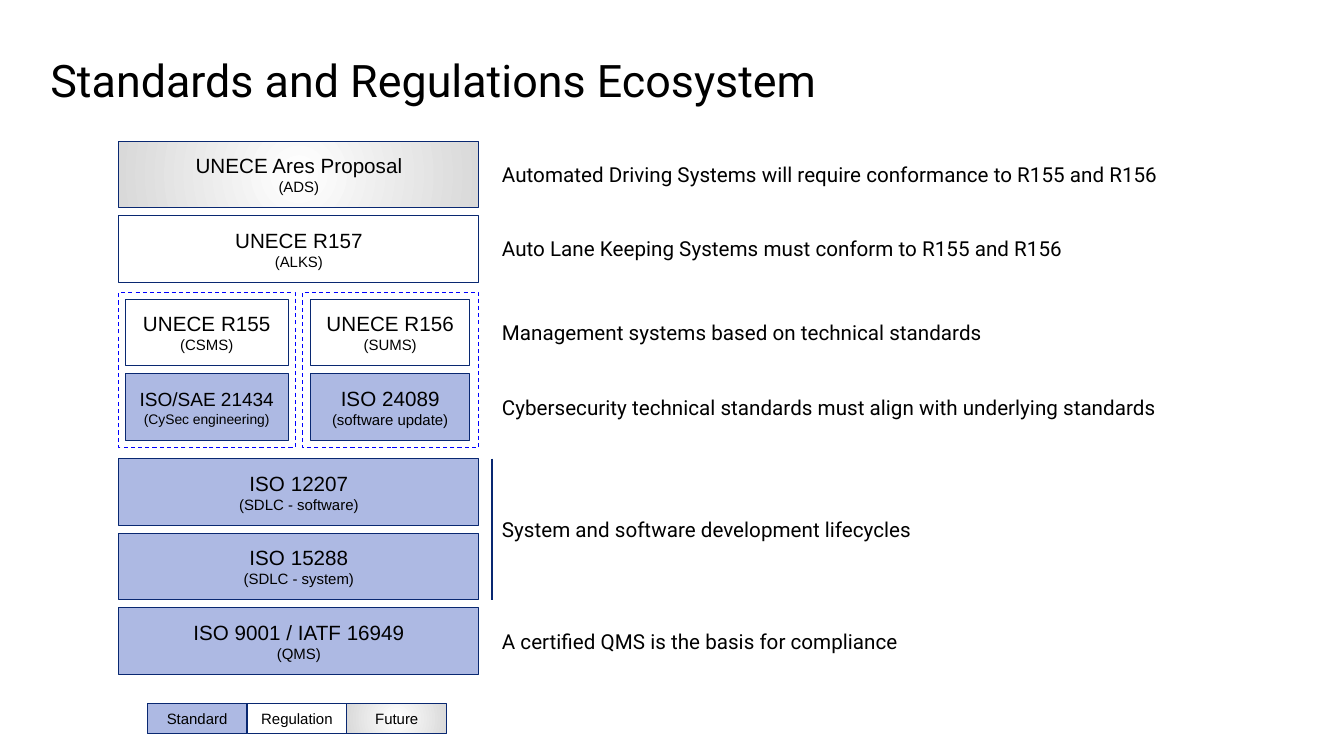
from lxml import etree
from pptx import Presentation
from pptx.dml.color import RGBColor
from pptx.enum.dml import MSO_LINE
from pptx.enum.shapes import MSO_CONNECTOR, MSO_SHAPE
from pptx.enum.text import MSO_ANCHOR, MSO_AUTO_SIZE, PP_ALIGN
from pptx.oxml.ns import qn
from pptx.util import Inches, Pt

# Content
TITLE = "Standards and Regulations Ecosystem"
FILLS = {"Standard": "ADB9E3", "Regulation": "FFFFFF", "Future": ("FFFFFF", "D9D9D9")}
NAVY, BLUE, BLACK = "092871", "0000FF", "000000"
NAME_SIZE, DETAIL_SIZE = 14.7, 10.7

# Each row: column, kind, name, detail, text scale
BANDS = [
    (1.40, [
        [("full", "Future", "UNECE Ares Proposal", "(ADS)", 1)],
        [("full", "Regulation", "UNECE R157", "(ALKS)", 1)],
    ]),
    (2.97, [
        [("left", "Regulation", "UNECE R155", "(CSMS)", 1),
         ("right", "Regulation", "UNECE R156", "(SUMS)", 1)],
        [("left", "Standard", "ISO/SAE 21434", "(CySec engineering)", 0.925),
         ("right", "Standard", "ISO 24089", "(software update)", 1)],
    ]),
    (4.55, [
        [("full", "Standard", "ISO 12207", "(SDLC - software)", 1)],
        [("full", "Standard", "ISO 15288", "(SDLC - system)", 1)],
        [("full", "Standard", "ISO 9001 / IATF 16949", "(QMS)", 1)],
    ]),
]
# Each note: text, first row and last row it describes
NOTES = [
    ("Automated Driving Systems will require conformance to R155 and R156", 0, 0),
    ("Auto Lane Keeping Systems must conform to R155 and R156", 1, 1),
    ("Management systems based on technical standards", 2, 2),
    ("Cybersecurity technical standards must align with underlying standards", 3, 3),
    ("System and software development lifecycles", 4, 5),
    ("A certified QMS is the basis for compliance", 6, 6),
]

# Layout, in inches
COLUMNS = {"full": (1.18, 3.57), "left": (1.24, 1.62), "right": (3.08, 1.58)}
ROW_HEIGHT, ROW_PITCH = 0.66, 0.74
FRAME_LEFTS, FRAME_TOP, FRAME_WIDTH, FRAME_HEIGHT = (1.18, 3.00), 2.90, 1.75, 1.54
NOTE_LEFT, NOTE_WIDTH, NOTE_HEIGHT = 4.88, 6.86, 0.45
LEGEND_LEFT, LEGEND_TOP, LEGEND_WIDTH, LEGEND_HEIGHT = 1.46, 6.98, 0.99, 0.30


def color(value):
    return RGBColor.from_string(value)


def set_margins(frame, margin):
    frame.margin_left = frame.margin_right = Inches(margin)
    frame.margin_top = frame.margin_bottom = Inches(margin)


def add_run(paragraph, text, size, font):
    run = paragraph.add_run()
    run.text = text
    run.font.size = Pt(size)
    run.font.name = font
    run.font.color.rgb = color(BLACK)


def fill_shape(shape, fill):
    if isinstance(fill, str):
        shape.fill.solid()
        shape.fill.fore_color.rgb = color(fill)
        return
    shape.fill.gradient()
    for stop, value in zip(shape.fill.gradient_stops, fill):
        stop.color.rgb = color(value)
    # Turn the linear gradient into a circular one
    gradient = shape._element.spPr.find(qn("a:gradFill"))
    gradient.remove(gradient.find(qn("a:lin")))
    circle = etree.SubElement(gradient, qn("a:path"), path="circle")
    etree.SubElement(circle, qn("a:fillToRect"), l="50000", t="50000", r="50000", b="50000")


def add_box(shapes, left, top, width, height, fill, lines):
    box = shapes.add_shape(MSO_SHAPE.RECTANGLE, Inches(left), Inches(top),
                           Inches(width), Inches(height))
    box.shadow.inherit = False
    fill_shape(box, fill)
    box.line.color.rgb = color(NAVY)
    box.line.width = Pt(0.75)
    frame = box.text_frame
    frame.word_wrap = True
    frame.vertical_anchor = MSO_ANCHOR.MIDDLE
    set_margins(frame, 0.1)
    for index, (text, size) in enumerate(lines):
        paragraph = frame.add_paragraph() if index else frame.paragraphs[0]
        paragraph.alignment = PP_ALIGN.CENTER
        add_run(paragraph, text, size, "Arial")


presentation = Presentation()
presentation.slide_width, presentation.slide_height = Inches(13.33), Inches(7.5)
slide = presentation.slides.add_slide(presentation.slide_layouts[5])

# Title
title = slide.shapes.title
title.left, title.top, title.width, title.height = map(Inches, (0.5, 0.5, 12.33, 0.57))
title_frame = title.text_frame
title_frame.auto_size = MSO_AUTO_SIZE.NONE
title_frame.vertical_anchor = MSO_ANCHOR.MIDDLE
set_margins(title_frame, 0)
title_frame.paragraphs[0].alignment = PP_ALIGN.LEFT
add_run(title_frame.paragraphs[0], TITLE, 32, "Roboto")

# Stack of standards and regulations
row_tops = []
for band_top, rows in BANDS:
    for index, row in enumerate(rows):
        top = band_top + index * ROW_PITCH
        row_tops.append(top)
        for column, kind, name, detail, scale in row:
            left, width = COLUMNS[column]
            lines = [(name, NAME_SIZE * scale), (detail, DETAIL_SIZE * scale)]
            add_box(slide.shapes, left, top, width, ROW_HEIGHT, FILLS[kind], lines)

# Dashed frames around each regulation and its standard
for left in FRAME_LEFTS:
    frame_box = slide.shapes.add_shape(MSO_SHAPE.RECTANGLE, Inches(left), Inches(FRAME_TOP),
                                       Inches(FRAME_WIDTH), Inches(FRAME_HEIGHT))
    frame_box.shadow.inherit = False
    frame_box.fill.background()
    frame_box.line.color.rgb = color(BLUE)
    frame_box.line.width = Pt(0.75)
    frame_box.line.dash_style = MSO_LINE.DASH

# Notes, centred on the rows they describe
for text, first, last in NOTES:
    start, end = row_tops[first], row_tops[last] + ROW_HEIGHT
    note = slide.shapes.add_textbox(Inches(NOTE_LEFT), Inches((start + end - NOTE_HEIGHT) / 2),
                                    Inches(NOTE_WIDTH), Inches(NOTE_HEIGHT))
    note.text_frame.word_wrap = True
    note.text_frame.auto_size = MSO_AUTO_SIZE.SHAPE_TO_FIT_TEXT
    set_margins(note.text_frame, 0.1)
    add_run(note.text_frame.paragraphs[0], text, NAME_SIZE, "Roboto")
    # Bar beside a note that spans several rows
    if last > first:
        bar = slide.shapes.add_connector(MSO_CONNECTOR.STRAIGHT, Inches(NOTE_LEFT), Inches(start),
                                         Inches(NOTE_LEFT), Inches(end))
        bar.line.color.rgb = color(NAVY)
        bar.line.width = Pt(1.5)
        etree.SubElement(bar._element.spPr, qn("a:effectLst"))

# Legend
legend = slide.shapes.add_group_shape()
for index, (kind, fill) in enumerate(FILLS.items()):
    add_box(legend.shapes, LEGEND_LEFT + index * LEGEND_WIDTH, LEGEND_TOP,
            LEGEND_WIDTH, LEGEND_HEIGHT, fill, [(kind, DETAIL_SIZE)])

presentation.save("out.pptx")
